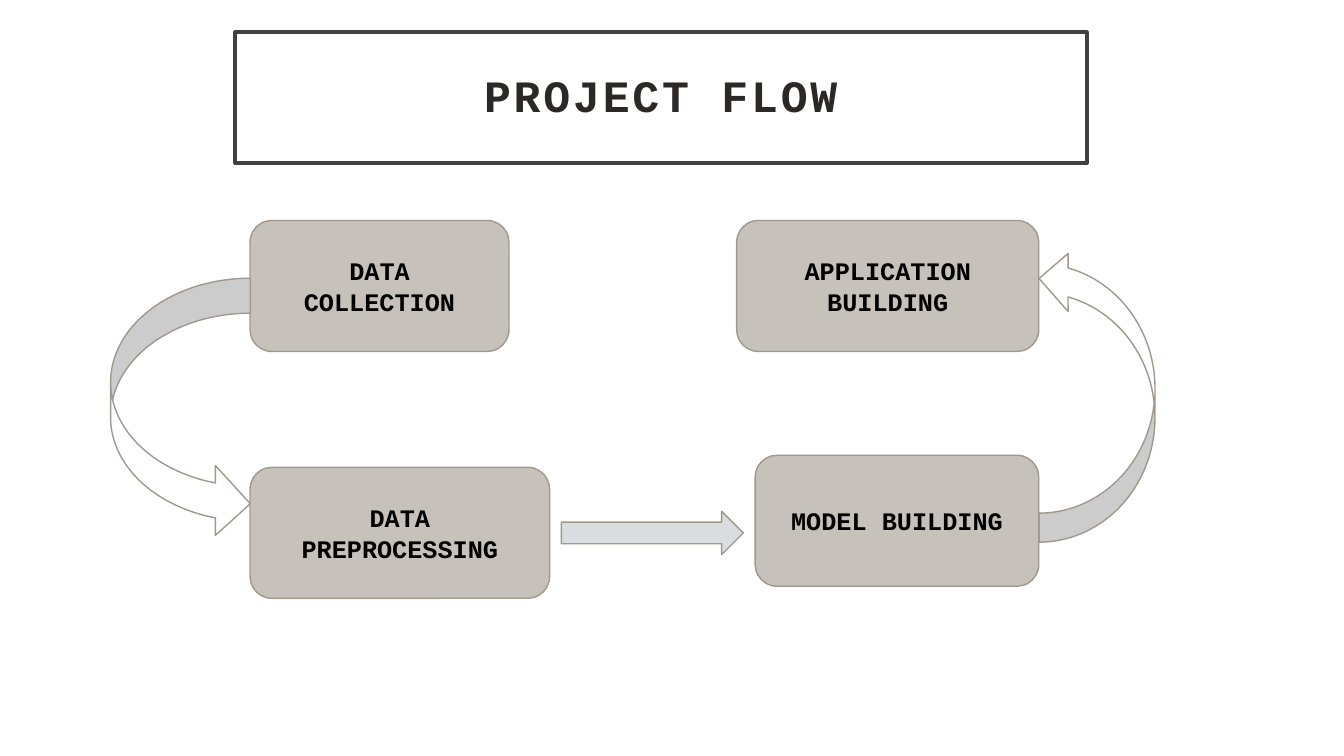
"""Build the project flow slide: a framed title, four steps and the arrows between them."""
from typing import NamedTuple

from pptx import Presentation
from pptx.dml.color import RGBColor
from pptx.enum.shapes import MSO_SHAPE as SHAPE
from pptx.enum.text import MSO_ANCHOR as ANCHOR, PP_ALIGN as ALIGN
from pptx.shapes.autoshape import Shape
from pptx.slide import Slide
from pptx.util import Pt

FONT = "Courier New"
WHITE = RGBColor(0xFF, 0xFF, 0xFF)
BLACK = RGBColor(0x00, 0x00, 0x00)
FRAME = RGBColor(0x40, 0x40, 0x40)
TITLE_INK = RGBColor(0x2D, 0x28, 0x28)
STEP_FILL = RGBColor(0xC6, 0xC1, 0xBA)
OUTLINE = RGBColor(0xA0, 0x98, 0x8C)
ARROW_FILL = RGBColor(0xD9, 0xDD, 0xDF)
STEP_HEIGHT = 93.6


class Box(NamedTuple):
    left: float
    top: float
    width: float
    height: float


class Step(NamedTuple):
    text: str
    left: float
    top: float
    width: float


class Arrow(NamedTuple):
    kind: SHAPE
    box: Box
    fill: RGBColor
    rotation: float = 0


TITLE_BOX = Box(168, 23, 608.4, 93.6)
STEPS = [
    Step("DATA PREPROCESSING", 178.6, 333.8, 214),
    Step("DATA COLLECTION", 178.6, 157.5, 185),
    Step("MODEL BUILDING", 539.4, 325.2, 202.6),
    Step("APPLICATION BUILDING", 526.2, 157.5, 215.8),
]
ARROWS = [
    Arrow(SHAPE.CURVED_RIGHT_ARROW, Box(79, 198.8, 99.8, 186), WHITE),
    Arrow(SHAPE.RIGHT_ARROW, Box(401, 365.2, 130, 31), ARROW_FILL),
    Arrow(SHAPE.CURVED_RIGHT_ARROW, Box(742.2, 178.2, 82.8, 209), WHITE, 180),
]


def paint(sp: Shape, fill: RGBColor, line: RGBColor, weight: float) -> None:
    sp.fill.solid()
    sp.fill.fore_color.rgb = fill
    sp.line.color.rgb = line
    sp.line.width = Pt(weight)


def write(sp: Shape, text: str, size: float, color: RGBColor) -> None:
    tf = sp.text_frame
    tf.text = text
    tf.word_wrap = True
    tf.vertical_anchor = ANCHOR.MIDDLE
    p = tf.paragraphs[0]
    p.alignment = ALIGN.CENTER
    p.font.name = FONT
    p.font.size = Pt(size)
    p.font.bold = True
    p.font.color.rgb = color


def add_title(s: Slide, text: str) -> None:
    sp = s.shapes.title
    sp.left, sp.top, sp.width, sp.height = map(Pt, TITLE_BOX)
    paint(sp, WHITE, FRAME, 2.5)
    write(sp, text, 32, TITLE_INK)
    tf = sp.text_frame
    tf.margin_left = tf.margin_right = tf.margin_top = tf.margin_bottom = Pt(14.4)
    p = tf.paragraphs[0]
    p.line_spacing = 0.9
    p.runs[0]._r.get_or_add_rPr().set("spc", "200")


def add_outlined(s: Slide, kind: SHAPE, box: Box, fill: RGBColor) -> Shape:
    sp = s.shapes.add_shape(kind, *map(Pt, box))
    sp.shadow.inherit = False
    paint(sp, fill, OUTLINE, 1)
    return sp


def add_step(s: Slide, step: Step) -> None:
    box = Box(step.left, step.top, step.width, STEP_HEIGHT)
    sp = add_outlined(s, SHAPE.FLOWCHART_ALTERNATE_PROCESS, box, STEP_FILL)
    write(sp, step.text, 18, BLACK)


def add_arrow(s: Slide, arrow: Arrow) -> None:
    sp = add_outlined(s, arrow.kind, arrow.box, arrow.fill)
    sp.rotation = arrow.rotation


def main() -> None:
    prs = Presentation()
    prs.slide_width, prs.slide_height = Pt(960), Pt(540)
    s = prs.slides.add_slide(prs.slide_layouts[5])
    add_title(s, "PROJECT FLOW")
    for step in STEPS:
        add_step(s, step)
    for arrow in ARROWS:
        add_arrow(s, arrow)
    prs.save("out.pptx")


main()
